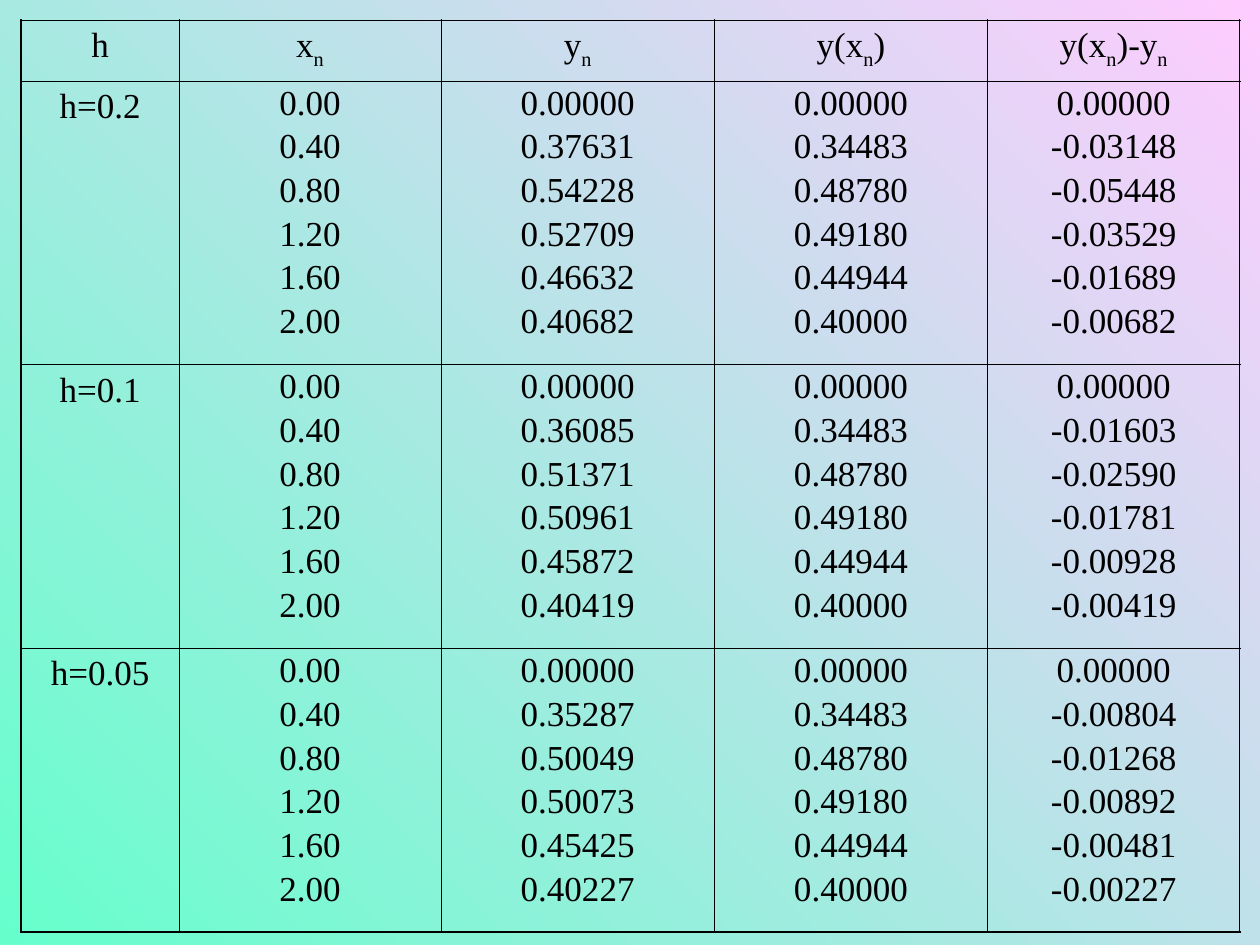
"""Build a slide that tabulates approximate and exact solutions for three step sizes."""
import dataclasses

import lxml.etree
import pptx
import pptx.dml.color
import pptx.enum.text
import pptx.oxml.ns
import pptx.util

Cm = pptx.util.Cm
Pt = pptx.util.Pt


@dataclasses.dataclass(frozen=True)
class Theme:
    font: str = "Times New Roman"
    size: float = 20
    ink: str = "000000"
    background: tuple = ("FFCCFF", "66FFCC")
    background_angle: float = 225
    space_before: float = 5
    outer_line: float = 1.08
    inner_line: float = 0.45


THEME = Theme()
HEADINGS = [
    ("h",),
    ("x", "n"),
    ("y", "n"),
    ("y(x", "n", ")"),
    ("y(x", "n", ")-y", "n"),
]
NODES = ["0.00", "0.40", "0.80", "1.20", "1.60", "2.00"]
EXACT = ["0.00000", "0.34483", "0.48780", "0.49180", "0.44944", "0.40000"]
GROUPS = [
    {
        "step": "h=0.2",
        "approximate": ["0.00000", "0.37631", "0.54228", "0.52709", "0.46632", "0.40682"],
        "error": ["0.00000", "-0.03148", "-0.05448", "-0.03529", "-0.01689", "-0.00682"],
    },
    {
        "step": "h=0.1",
        "approximate": ["0.00000", "0.36085", "0.51371", "0.50961", "0.45872", "0.40419"],
        "error": ["0.00000", "-0.01603", "-0.02590", "-0.01781", "-0.00928", "-0.00419"],
    },
    {
        "step": "h=0.05",
        "approximate": ["0.00000", "0.35287", "0.50049", "0.50073", "0.45425", "0.40227"],
        "error": ["0.00000", "-0.00804", "-0.01268", "-0.00892", "-0.00481", "-0.00227"],
    },
]
TABLE_LEFT, TABLE_TOP = 0.43, 0.41
COLUMN_WIDTHS = [3.18, 5.28, 5.51, 5.51, 5.08]
ROW_HEIGHTS = [1.22] + [5.72] * len(GROUPS)


def write_text(text_frame, lines, *, line_spacing=None, size=THEME.size, color=THEME.ink):
    """Write lines whose parts alternate between baseline and subscript."""
    for index, parts in enumerate(lines):
        paragraph = text_frame.add_paragraph() if index else text_frame.paragraphs[0]
        paragraph.alignment = pptx.enum.text.PP_ALIGN.CENTER
        paragraph.space_before = Pt(THEME.space_before)
        if line_spacing:
            paragraph.line_spacing = line_spacing
        for position, part in enumerate(parts):
            run = paragraph.add_run()
            run.text = part
            run.font.name = THEME.font
            run.font.size = Pt(size)
            run.font.color.rgb = pptx.dml.color.RGBColor.from_string(color)
            if position % 2:
                run._r.get_or_add_rPr().set("baseline", "-25000")


def draw_borders(cell, outer_sides):
    """Rule all four sides of a cell, with a heavier line on the outer ones."""
    properties = cell._tc.get_or_add_tcPr()
    qualify = pptx.oxml.ns.qn
    for side in "LRTB":
        width = THEME.outer_line if side in outer_sides else THEME.inner_line
        line = lxml.etree.SubElement(properties, qualify(f"a:ln{side}"), w=str(Pt(width)))
        fill = lxml.etree.SubElement(line, qualify("a:solidFill"))
        lxml.etree.SubElement(fill, qualify("a:srgbClr"), val=THEME.ink)


def paint_background(slide):
    """Fill the slide with the diagonal gradient."""
    fill = slide.background.fill
    fill.gradient()
    fill.gradient_angle = THEME.background_angle
    for stop, color in zip(fill.gradient_stops, THEME.background):
        stop.color.rgb = pptx.dml.color.RGBColor.from_string(color)


def add_results_table(slide):
    """Add the table of headings and step-size groups."""
    rows = [[[heading] for heading in HEADINGS]]
    for group in GROUPS:
        columns = [[group["step"]], NODES, group["approximate"], EXACT, group["error"]]
        rows.append([[(value,) for value in column] for column in columns])
    last_row, last_column = len(rows) - 1, len(HEADINGS) - 1
    table = slide.shapes.add_table(
        len(rows), len(HEADINGS), Cm(TABLE_LEFT), Cm(TABLE_TOP),
        Cm(sum(COLUMN_WIDTHS)), Cm(sum(ROW_HEIGHTS)),
    ).table
    table.first_row = table.horz_banding = False
    for column, width in zip(table.columns, COLUMN_WIDTHS):
        column.width = Cm(width)
    for row_index, (row, height) in enumerate(zip(rows, ROW_HEIGHTS)):
        table.rows[row_index].height = Cm(height)
        for column_index, lines in enumerate(row):
            cell = table.cell(row_index, column_index)
            edges = {
                "L": column_index == 0,
                "R": column_index == last_column,
                "T": row_index == 0,
                "B": row_index == last_row,
            }
            draw_borders(cell, [side for side, is_outer in edges.items() if is_outer])
            cell.fill.background()
            write_text(cell.text_frame, lines, line_spacing=0.9 if len(lines) > 1 else None)


def main():
    """Create and save the presentation."""
    presentation = pptx.Presentation()
    presentation.slide_width, presentation.slide_height = Cm(25.4), Cm(19.05)
    slide = presentation.slides.add_slide(presentation.slide_layouts[6])
    paint_background(slide)
    add_results_table(slide)
    presentation.save("out.pptx")


if __name__ == "__main__":
    main()
